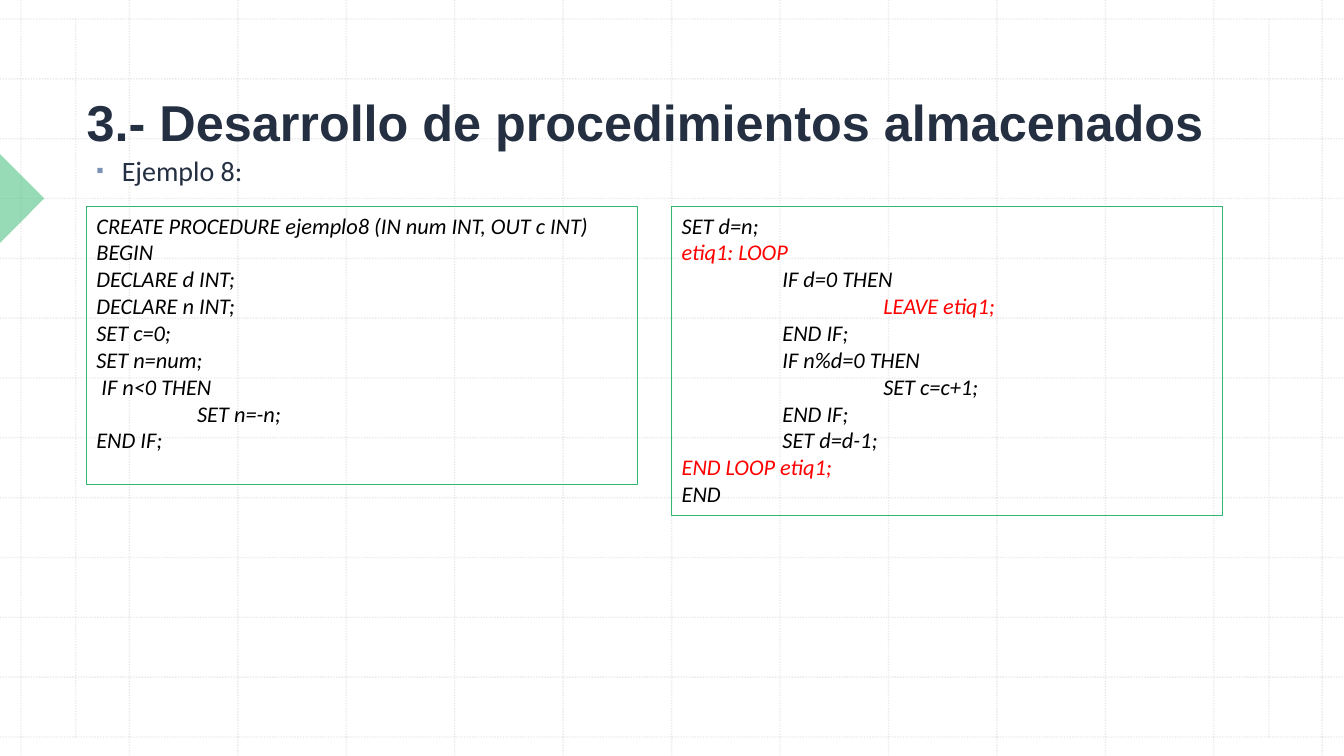
"""Build the slide on stored procedures: title, bullet and two code panels over a dotted grid."""
from dataclasses import dataclass

from pptx import Presentation
from pptx.dml.color import RGBColor
from pptx.enum.dml import MSO_LINE
from pptx.enum.shapes import MSO_CONNECTOR, MSO_SHAPE
from pptx.enum.text import MSO_ANCHOR, MSO_AUTO_SIZE, PP_ALIGN
from pptx.oxml.ns import qn
from pptx.util import Cm, Pt
from lxml.etree import SubElement


@dataclass(frozen=True)
class Theme:
    ink: RGBColor = RGBColor.from_string("242F41")
    code: RGBColor = RGBColor.from_string("000000")
    accent: RGBColor = RGBColor.from_string("FF0000")
    green: RGBColor = RGBColor.from_string("31B86F")
    grid: RGBColor = RGBColor.from_string("BCBCBC")
    bullet: str = "7B92B6"
    title_font: str = "Arial"
    body_font: str = "Calibri"
    title_size: Pt = Pt(36)
    body_size: Pt = Pt(20)
    code_size: Pt = Pt(16)


theme = Theme()


def add_run(p, text, font, size, color, bold=False, italic=False):
    r = p.add_run()
    r.text = text
    r.font.name, r.font.size = font, size
    r.font.bold, r.font.italic = bold, italic
    r.font.color.rgb = color


def set_alpha(element, percent):
    color = element.find(".//" + qn("a:srgbClr"))
    SubElement(color, qn("a:alpha")).set("val", str(percent * 1000))


prs = Presentation()
prs.slide_width, prs.slide_height = Cm(33.87), Cm(19.05)
s = prs.slides.add_slide(prs.slide_layouts[5])

GRID_LEFT, GRID_RIGHT = 0.53, 33.32
GRID_TOP, GRID_BOTTOM = 0.48, 18.57
INTERVALS = 12
grid_lines = [(x, GRID_TOP, x, GRID_BOTTOM) for x in (1.91, 31.98)]
for i in range(INTERVALS + 1):
    x = GRID_LEFT + i * (GRID_RIGHT - GRID_LEFT) / INTERVALS
    y = GRID_TOP + i * (GRID_BOTTOM - GRID_TOP) / INTERVALS
    grid_lines += [(x, 0, x, 19.05), (0, y, 33.87, y)]

grid = s.shapes.add_group_shape()
for ends in grid_lines:
    line = grid.shapes.add_connector(MSO_CONNECTOR.STRAIGHT, *[Cm(v) for v in ends])
    line.line.color.rgb = theme.grid
    line.line.width = Pt(1)
    line.line.dash_style = MSO_LINE.ROUND_DOT
    set_alpha(line.line._ln, 30)
    SubElement(line._element.spPr, qn("a:effectLst"))

marker = s.shapes.add_shape(MSO_SHAPE.RIGHT_TRIANGLE, Cm(-0.79), Cm(4.21), Cm(1.58), Cm(1.58))
marker.rotation = 225
marker.shadow.inherit = False
marker.fill.solid()
marker.fill.fore_color.rgb = theme.green
marker.line.fill.background()
set_alpha(marker._element.spPr, 50)

title = s.shapes.title
title.left, title.top, title.width, title.height = Cm(1.93), Cm(2.01), Cm(28.7), Cm(1.93)
s.shapes._spTree.append(title._element)
tf = title.text_frame
tf.auto_size = MSO_AUTO_SIZE.NONE
tf.vertical_anchor = MSO_ANCHOR.BOTTOM
p = tf.paragraphs[0]
p.alignment = PP_ALIGN.LEFT
add_run(p, "3.- Desarrollo de procedimientos almacenados",
        theme.title_font, theme.title_size, theme.ink, bold=True)

example = s.shapes.add_textbox(Cm(2.18), Cm(3.66), Cm(4.95), Cm(1.55))
tf = example.text_frame
tf.word_wrap = True
p = tf.paragraphs[0]
p.line_spacing, p.space_before = 1.1, Pt(10)
pPr = p._p.get_or_add_pPr()
pPr.set("marL", str(Cm(0.64)))
pPr.set("indent", str(Cm(-0.64)))
SubElement(SubElement(pPr, qn("a:buClr")), qn("a:srgbClr")).set("val", theme.bullet)
SubElement(pPr, qn("a:buSzPct")).set("val", "75000")
SubElement(pPr, qn("a:buFont")).set("typeface", theme.title_font)
SubElement(pPr, qn("a:buChar")).set("char", "▪")
add_run(p, "Ejemplo 8:", theme.body_font, theme.body_size, theme.ink)

setup_code = [
    (0, "CREATE PROCEDURE ejemplo8 (IN num INT, OUT c INT)", theme.code),
    (0, "BEGIN", theme.code),
    (0, "DECLARE d INT;", theme.code),
    (0, "DECLARE n INT;", theme.code),
    (0, "SET c=0;", theme.code),
    (0, "SET n=num;", theme.code),
    (0, " IF n<0 THEN", theme.code),
    (1, "SET n=-n;", theme.code),
    (0, "END IF;", theme.code),
]
loop_code = [
    (0, "SET d=n;", theme.code),
    (0, "etiq1: LOOP", theme.accent),
    (1, "IF d=0 THEN", theme.code),
    (2, "LEAVE etiq1;", theme.accent),
    (1, "END IF;", theme.code),
    (1, "IF n%d=0 THEN", theme.code),
    (2, "SET c=c+1;", theme.code),
    (1, "END IF;", theme.code),
    (1, "SET d=d-1;", theme.code),
    (0, "END LOOP etiq1;", theme.accent),
    (0, "END", theme.code),
]
for left, height, code in [(2.18, 7.01, setup_code), (16.93, 7.78, loop_code)]:
    sp = s.shapes.add_shape(MSO_SHAPE.RECTANGLE, Cm(left), Cm(5.21), Cm(13.88), Cm(height))
    sp.shadow.inherit = False
    sp.fill.background()
    sp.line.color.rgb = theme.green
    sp.line.width = Pt(0.75)
    tf = sp.text_frame
    tf.word_wrap = True
    tf.vertical_anchor = MSO_ANCHOR.TOP
    for i, (depth, text, color) in enumerate(code):
        p = tf.add_paragraph() if i else tf.paragraphs[0]
        p.alignment = PP_ALIGN.LEFT
        p._p.get_or_add_pPr().set("marL", str(depth * Cm(2.54)))
        add_run(p, text, theme.body_font, theme.code_size, color, italic=True)

prs.save("out.pptx")
